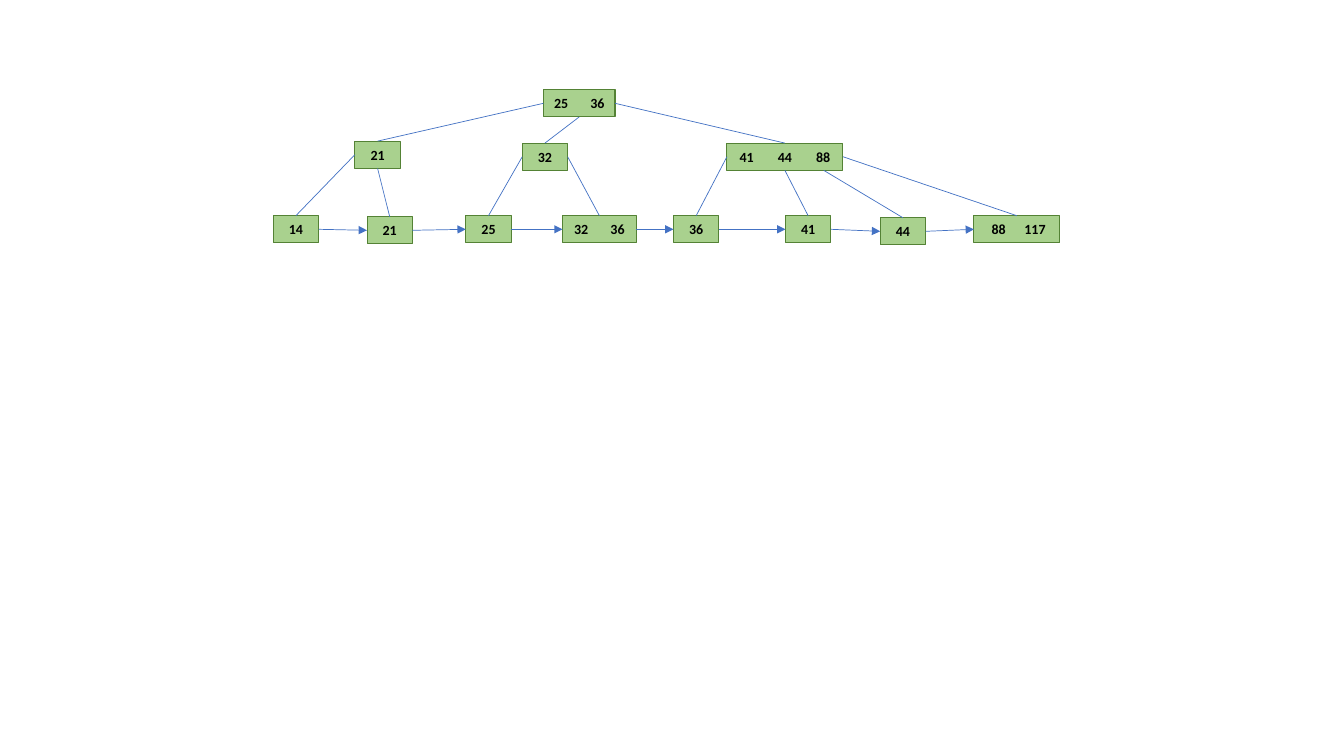
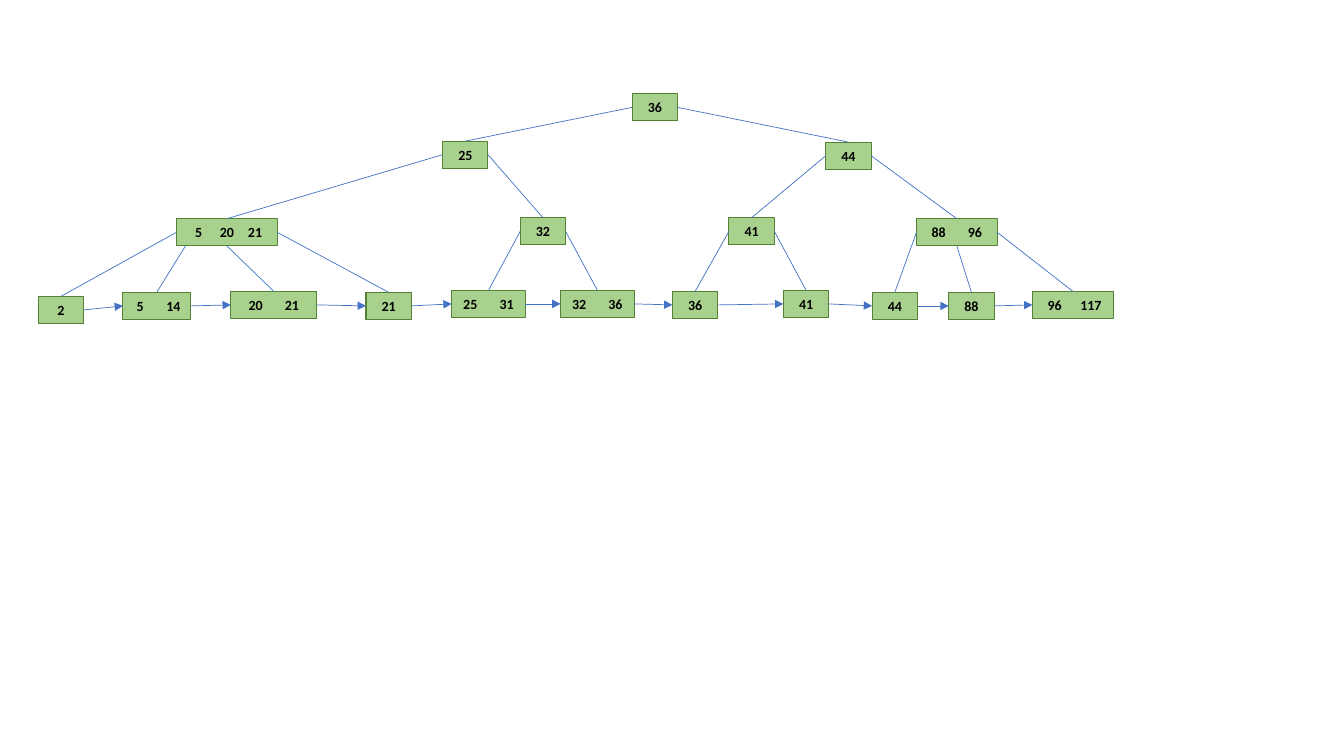
from dataclasses import dataclass

from lxml import etree
from pptx import Presentation
from pptx.dml.color import RGBColor
from pptx.enum.shapes import MSO_CONNECTOR, MSO_SHAPE
from pptx.enum.text import MSO_ANCHOR, PP_ALIGN
from pptx.oxml.ns import qn
from pptx.util import Inches, Pt

RECTANGLE = MSO_SHAPE.RECTANGLE
STRAIGHT = MSO_CONNECTOR.STRAIGHT
CENTER, LEFT_ALIGNED = PP_ALIGN.CENTER, PP_ALIGN.LEFT
MIDDLE = MSO_ANCHOR.MIDDLE

NODE_FILL = RGBColor(0xA9, 0xD1, 0x8E)
NODE_BORDER = RGBColor(0x54, 0x82, 0x35)
LINK_COLOR = RGBColor(0x44, 0x72, 0xC4)
KEY_COLOR = RGBColor(0, 0, 0)
KEY_FONT, KEY_SIZE = "Calibri", Pt(10)

NODE_HEIGHT = 0.27
BLANK_LAYOUT = 6
TOP, LEFT, BOTTOM, RIGHT = range(4)


@dataclass
class Node:
    """A tree node; lengths are in inches.

    port is the side of the parent its link leaves from; port_x, if given,
    is the place of that link on the parent's bottom edge instead.
    """
    keys: str
    left: float
    top: float
    port: int = BOTTOM
    width: float = 0.45
    key_gap: float = 0.36
    port_x: float = None
    children: tuple = ()


FIRST_TREE = Node("25 36", 5.39, 0.89, width=0.71, children=(
    Node("21", 3.52, 1.40, LEFT, children=(
        Node("14", 2.71, 2.14, LEFT),
        Node("21", 3.64, 2.15, BOTTOM))),
    Node("32", 5.18, 1.42, BOTTOM, children=(
        Node("25", 4.62, 2.14, LEFT),
        Node("32 36", 5.58, 2.14, RIGHT, 0.73))),
    Node("41 44 88", 7.21, 1.42, RIGHT, 1.15, 0.38, children=(
        Node("36", 6.68, 2.14, LEFT),
        Node("41", 7.79, 2.14, BOTTOM),
        Node("44", 8.73, 2.16, port_x=8.17),
        Node("88 117", 9.66, 2.14, RIGHT, 0.85)))))

SECOND_TREE = Node("36", 6.27, 0.93, children=(
    Node("25", 4.39, 1.40, LEFT, children=(
        Node("5 20 21", 1.75, 2.17, LEFT, 1.0, 0.28, children=(
            Node("2", 0.38, 2.94, LEFT),
            Node("5 14", 1.22, 2.90, width=0.67, key_gap=0.33, port_x=1.84),
            Node("20 21", 2.29, 2.89, BOTTOM, 0.85),
            Node("21", 3.63, 2.90, RIGHT))),
        Node("32", 5.16, 2.16, RIGHT, children=(
            Node("25 31", 4.48, 2.88, LEFT, 0.73),
            Node("32 36", 5.56, 2.88, RIGHT, 0.73))))),
    Node("44", 8.19, 1.41, RIGHT, children=(
        Node("41", 7.23, 2.16, LEFT, children=(
            Node("36", 6.67, 2.89, LEFT),
            Node("41", 7.77, 2.88, RIGHT))),
        Node("88 96", 9.09, 2.17, RIGHT, 0.80, children=(
            Node("44", 8.65, 2.90, LEFT),
            Node("88", 9.41, 2.90, BOTTOM),
            Node("96 117", 10.24, 2.89, RIGHT, 0.80)))))))


def write_keys(box, node):
    """Write one key centred, or several on evenly spaced centred tab stops."""
    frame = box.text_frame
    frame.word_wrap = True
    frame.vertical_anchor = MIDDLE
    frame.margin_left = frame.margin_right = 0
    frame.margin_top = frame.margin_bottom = 0
    paragraph = frame.paragraphs[0]
    keys = node.keys.split()
    several = len(keys) > 1
    paragraph.alignment = LEFT_ALIGNED if several else CENTER
    if several:
        tab_list = etree.SubElement(paragraph._p.get_or_add_pPr(), qn("a:tabLst"))
        first = node.width / 2 - node.key_gap * (len(keys) - 1) / 2
        for index in range(len(keys)):
            position = Inches(first + index * node.key_gap)
            etree.SubElement(tab_list, qn("a:tab"), pos=str(int(position)), algn="ctr")
    for key in keys:
        run = paragraph.add_run()
        run.text = "\t" + key if several else key
        run.font.name, run.font.size, run.font.bold = KEY_FONT, KEY_SIZE, True
        run.font.color.rgb = KEY_COLOR


def add_node(slide, node):
    box = slide.shapes.add_shape(RECTANGLE, Inches(node.left), Inches(node.top),
                                 Inches(node.width), Inches(NODE_HEIGHT))
    box.shadow.inherit = False
    box.fill.solid()
    box.fill.fore_color.rgb = NODE_FILL
    box.line.color.rgb = NODE_BORDER
    box.line.width = Pt(0.75)
    write_keys(box, node)
    return box


def add_link(slide, start_box, start_side, end_box, end_side, start_x=None, arrow=False):
    """Join two boxes; start_x moves the start along the bottom edge."""
    start_y = start_box.top + start_box.height
    link = slide.shapes.add_connector(STRAIGHT, Inches(start_x or 0), start_y, 0, 0)
    if start_x is None:
        link.begin_connect(start_box, start_side)
    link.end_connect(end_box, end_side)
    link.line.color.rgb = LINK_COLOR
    link.line.width = Pt(0.5)
    if arrow:
        etree.SubElement(link.line._get_or_add_ln(), qn("a:tailEnd"), type="triangle")
    etree.SubElement(link._element.spPr, qn("a:effectLst"))


def add_subtree(slide, node):
    """Draw a node and all below it; return its box and its leaf boxes in order."""
    box = add_node(slide, node)
    if not node.children:
        return box, [box]
    leaves = []
    for child in node.children:
        child_box, child_leaves = add_subtree(slide, child)
        add_link(slide, box, child.port, child_box, TOP, child.port_x)
        leaves += child_leaves
    return box, leaves


def main():
    deck = Presentation()
    deck.slide_width, deck.slide_height = Inches(13.33), Inches(7.5)
    for tree in (FIRST_TREE, SECOND_TREE):
        slide = deck.slides.add_slide(deck.slide_layouts[BLANK_LAYOUT])
        _, leaves = add_subtree(slide, tree)
        for leaf, next_leaf in zip(leaves, leaves[1:]):
            add_link(slide, leaf, RIGHT, next_leaf, LEFT, arrow=True)
    deck.save("out.pptx")


if __name__ == "__main__":
    main()
